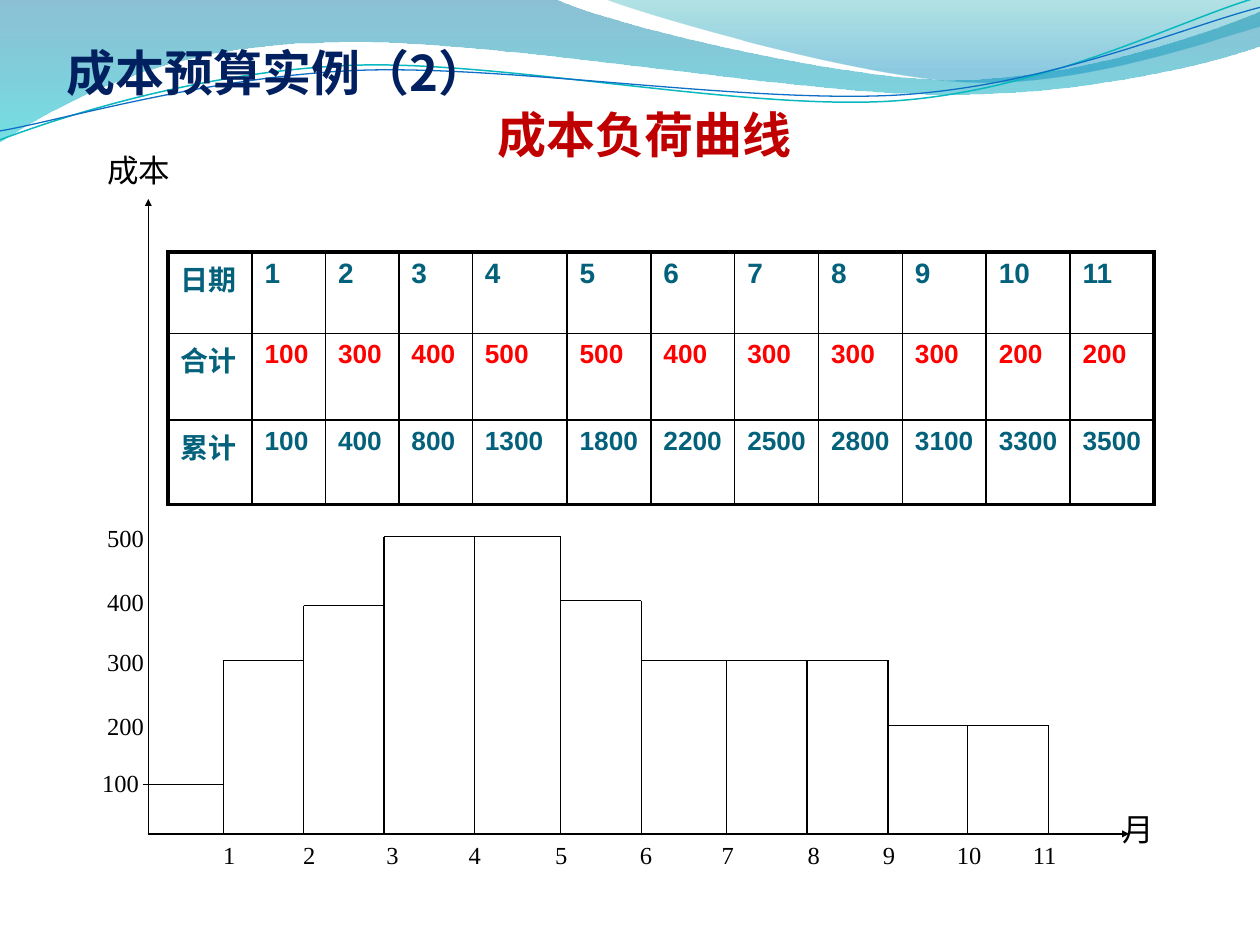
from itertools import accumulate

from lxml import etree
from pptx import Presentation
from pptx import util as u
from pptx.dml.color import RGBColor
from pptx.enum import shapes, text
from pptx.oxml.ns import qn

COLORS = {
    "ink": "000000", "title": "002060", "heading": "C00000",
    "label": "04617B", "total": "FF0000",
    "deep": "0074A1", "aqua": "00C6CF", "teal": "00A1A9", "sky": "008BBF",
    "teal_wave": "0AB8BF", "blue_wave": "0F6FC6",
}
CJK = "Noto Sans CJK SC"
SERIF = "Times New Roman"


def add_xml(parent, tag, **attributes):
    return etree.SubElement(parent, qn(tag), attributes)


class Board:
    """Slide being drawn and its style; positions are in centimetres."""

    def __init__(self, slide):
        self.slide = slide

    def style(self, paragraph, size, color, font, bold=False):
        for run in paragraph.runs:
            run.font.size = u.Pt(size)
            run.font.bold = bold
            run.font.name = font
            run.font.color.rgb = RGBColor.from_string(COLORS[color])
            add_xml(run.font._element, "a:ea", typeface=CJK)

    def words(self, wording, left, top, width, height, size=14, color="ink",
              font=SERIF, bold=False, align=text.PP_ALIGN.LEFT,
              anchor=text.MSO_ANCHOR.TOP):
        box = self.slide.shapes.add_textbox(
            u.Cm(left), u.Cm(top), u.Cm(width), u.Cm(height))
        frame = box.text_frame
        frame.word_wrap = True
        frame.vertical_anchor = anchor
        frame.text = wording
        frame.paragraphs[0].alignment = align
        self.style(frame.paragraphs[0], size, color, font, bold)

    def line(self, start, end, arrow=False):
        link = self.slide.shapes.add_connector(
            shapes.MSO_CONNECTOR.STRAIGHT, *(u.Cm(v) for v in (*start, *end)))
        link.line.color.rgb = RGBColor.from_string(COLORS["ink"])
        link.line.width = u.Pt(0.75)
        if arrow:
            add_xml(link.line._get_or_add_ln(), "a:tailEnd",
                    type="triangle", w="sm", len="sm")
        add_xml(link._element.spPr, "a:effectLst")

    def outline(self, start, segments, closed):
        """A segment of one point is straight, one of three is a curve."""
        first, *rest = [(u.Cm(x), u.Cm(y)) for x, y in [start, *sum(segments, [])]]
        builder = self.slide.shapes.build_freeform(*first)
        builder.add_line_segments(rest, close=closed)
        shape = builder.convert_to_shape()
        shape.shadow.inherit = False
        steps = iter(list(shape._element.iter(qn("a:lnTo"))))
        for segment in segments:
            first_step, *others = [next(steps) for _ in segment]
            if others:
                first_step.tag = qn("a:cubicBezTo")
            for step in others:
                first_step.append(step[0])
                step.getparent().remove(step)
        return shape

    def band(self, start, segments, stops):
        shape = self.outline(start, segments, True)
        shape.line.fill.background()
        shape.fill.gradient()
        gradient = shape._element.spPr.find(qn("a:gradFill"))
        for child in list(gradient):
            gradient.remove(child)
        stop_list = add_xml(gradient, "a:gsLst")
        for position, color, alpha in stops:
            stop = add_xml(stop_list, "a:gs", pos=str(position * 1000))
            tint = add_xml(stop, "a:srgbClr", val=COLORS[color])
            add_xml(tint, "a:alpha", val=str(alpha * 1000))
        add_xml(gradient, "a:lin", ang="5400000", scaled="0")

    def wave(self, start, segments, color, width):
        shape = self.outline(start, segments, False)
        shape.fill.background()
        shape.line.color.rgb = RGBColor.from_string(COLORS[color])
        shape.line.width = u.Pt(width)

    def border(self, cell, side, width):
        edge = add_xml(cell._tc.get_or_add_tcPr(), f"a:ln{side}", w=str(u.Pt(width)))
        add_xml(add_xml(edge, "a:solidFill"), "a:srgbClr", val=COLORS["ink"])

    def table(self, rows, left, top, widths, heights, styles):
        table = self.slide.shapes.add_table(
            len(rows), len(widths), u.Cm(left), u.Cm(top),
            u.Cm(sum(widths)), u.Cm(sum(heights))).table
        table.first_row = table.horz_banding = False
        for column, width in zip(table.columns, widths):
            column.width = u.Cm(width)
        last_row, last_column = len(rows) - 1, len(widths) - 1
        for r, row in enumerate(rows):
            table.rows[r].height = u.Cm(heights[r])
            for c, value in enumerate(row):
                cell = table.cell(r, c)
                cell.text = str(value)
                size, color = styles[r] if c else (16, "label")
                self.style(cell.text_frame.paragraphs[0], size, color, "Arial", True)
                outer = {"L": c == 0, "R": c == last_column,
                         "T": r == 0, "B": r == last_row}
                for side, is_outer in outer.items():
                    self.border(cell, side, 2.25 if is_outer else 1)
                cell.fill.background()


deck = Presentation()
deck.slide_width, deck.slide_height = u.Cm(25.4), u.Cm(19.05)
board = Board(deck.slides.add_slide(deck.slide_layouts[6]))

# Flowing header bands and waves
board.band((0, -0.03), [
    [(11.18, -0.03)],
    [(12.09, 0.43), (16.87, 1.6), (19.25, 1.6)],
    [(21.67, 1.6), (24.33, 0.66), (25.4, 0.23)],
    [(25.43, 0.91)],
    [(24.97, 1.12), (22.1, 1.93), (18.95, 1.9)],
    [(15.8, 1.9), (9.7, 0.71), (6.53, 0.86)],
    [(3.28, 0.89), (1.17, 2.11), (-0.03, 2.87)],
], [(0, "deep", 45), (100, "aqua", 55)])
board.band((12.17, -0.03), [
    [(12.93, 0.28), (17.32, 1.57), (19.53, 1.65)],
    [(21.74, 1.75), (24.41, 0.81), (25.4, 0.53)],
    [(25.4, 0)],
], [(0, "teal", 30), (80, "sky", 45)])
board.wave((0, 2.82), [
    [(1.22, 2.36), (4.01, 1.45), (7.04, 1.32)],
    [(10.03, 1.19), (15.06, 2.26), (18.11, 2.03)],
    [(21.16, 1.8), (23.83, 0.38), (25.35, -0.05)],
], "teal_wave", 0.85)
board.wave((0, 2.64), [
    [(1.19, 2.44), (4.17, 1.55), (7.19, 1.42)],
    [(10.24, 1.3), (15.16, 2.11), (18.21, 1.91)],
    [(21.23, 1.7), (23.9, 0.53), (25.4, 0.15)],
], "blue_wave", 0.75)

# Title
board.words("成本预算实例（2）", 1.1, 0.71, 9.65, 1.45, 28, "title", CJK, True,
            anchor=text.MSO_ANCHOR.BOTTOM)

# Axes with their names
axis_x, base = 2.99, 16.81
board.line((axis_x, base), (22.76, base), arrow=True)
board.line((axis_x, base), (axis_x, 4.01), arrow=True)
board.words("成本", 1.91, 2.92, 2.82, 1.02, 18)
board.words("月", 22.38, 16.21, 1.24, 1.02, 18)

# Axis labels
month_lefts = [4.25, 5.86, 7.54, 9.2, 10.94, 12.65, 14.3, 16.03, 17.55, 19.04, 20.57]
for month, left in enumerate(month_lefts, 1):
    board.words(str(month), left, base, 1.22, 0.81)
cost_labels = {100: (1.81, 15.36), 200: (1.91, 14.2), 300: (1.91, 12.92),
               400: (1.91, 11.71), 500: (1.91, 10.41)}
for cost, (left, top) in cost_labels.items():
    board.words(str(cost), left, top, 1.6, 0.8)

# Monthly cost bars: a top for each month, a side at each month's end
edges = [2.88, 4.5, 6.12, 7.74, 9.57, 11.3, 12.93, 14.65, 16.27, 17.9, 19.51, 21.13]
tops = [15.82, 13.31, 12.21, 10.82, 10.82, 12.11, 13.31, 13.31, 13.31, 14.62, 14.62]
for start, end, top, next_top in zip(edges, edges[1:], tops, tops[1:] + [base]):
    board.line((start, top), (end, top))
    board.line((end, min(top, next_top)), (end, base))

# Cost table
totals = [100, 300, 400, 500, 500, 400, 300, 300, 300, 200, 200]
board.table(
    [["日期", *range(1, 12)], ["合计", *totals], ["累计", *accumulate(totals)]],
    3.39, 5.08, [1.69] + [1.48] * 3 + [1.91] + [1.69] * 7, [1.64, 1.75, 1.7],
    [(16, "label"), (15, "total"), (15, "label")])

# Chart heading
board.words("成本负荷曲线", 9.47, 1.98, 7.04, 1.45, 28, "heading", CJK, True,
            align=text.PP_ALIGN.CENTER)

deck.save("out.pptx")
